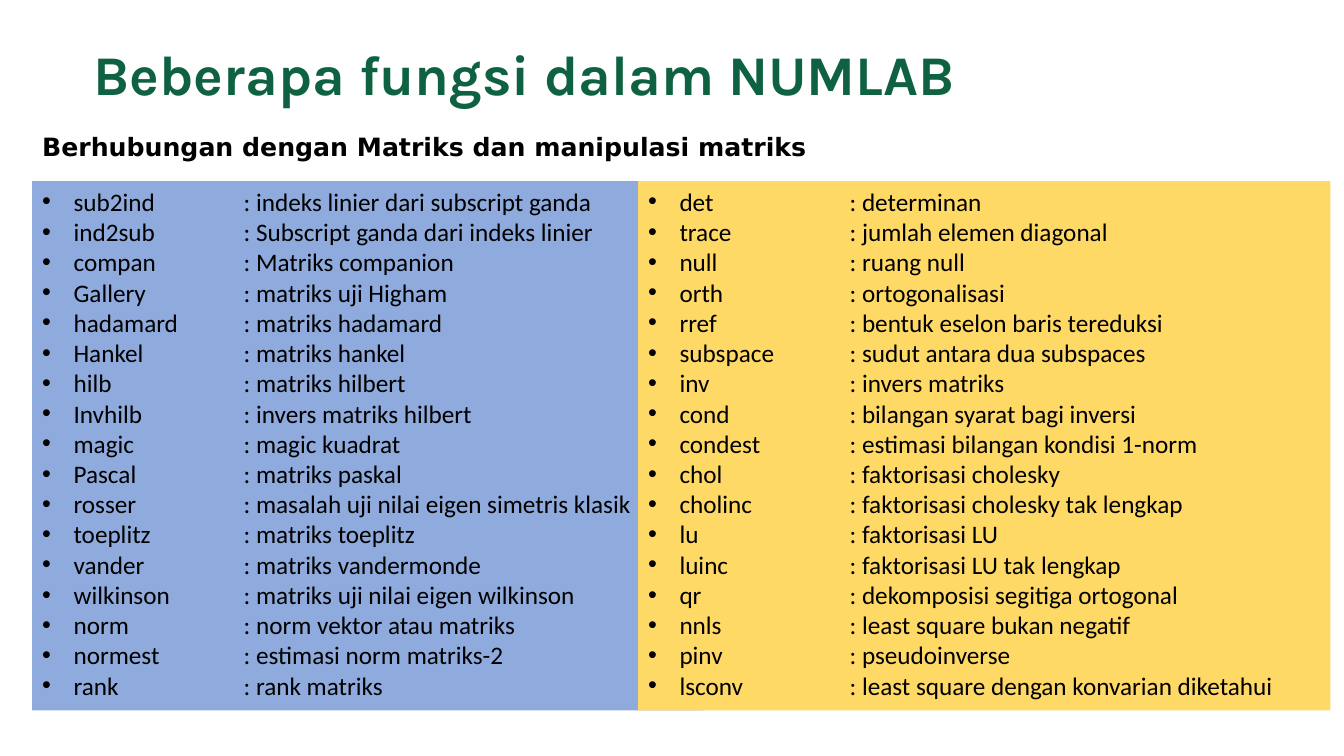
from lxml.etree import SubElement
from pptx import Presentation
from pptx.dml.color import RGBColor
from pptx.enum.shapes import MSO_SHAPE
from pptx.enum.text import MSO_ANCHOR, MSO_AUTO_SIZE, PP_ALIGN
from pptx.oxml.ns import qn
from pptx.util import Pt


def color(value):
    return RGBColor.from_string(value)


def write(para, text, **font):
    span = para.add_run()
    span.text = text
    span.font.color.rgb = color(font.pop("ink"))
    for name, value in font.items():
        setattr(span.font, name, value)


deck = Presentation()
deck.slide_width, deck.slide_height = Pt(960), Pt(540)
page = deck.slides.add_slide(deck.slide_layouts[6])

title = page.shapes.add_textbox(Pt(59.8), Pt(15.8), Pt(769), Pt(79.2)).text_frame
title.word_wrap = True
title.vertical_anchor = MSO_ANCHOR.MIDDLE
title.paragraphs[0].line_spacing = 0.9
write(title.paragraphs[0], "Beberapa fungsi dalam NUMLAB",
      name="Karla", size=Pt(40), bold=True, ink="0E6241")

subtitle = page.shapes.add_textbox(Pt(23), Pt(90.4), Pt(561.6), Pt(28.8)).text_frame
subtitle.word_wrap = False
write(subtitle.paragraphs[0], "Berhubungan dengan Matriks dan manipulasi matriks",
      name="DejaVu Sans", size=Pt(18), bold=True, ink="000000")

matrix_functions = [
    ("sub2ind", "indeks linier dari subscript ganda"),
    ("ind2sub", "Subscript ganda dari indeks linier"),
    ("compan", "Matriks companion"),
    ("Gallery", "matriks uji Higham"),
    ("hadamard", "matriks hadamard"),
    ("Hankel", "matriks hankel"),
    ("hilb", "matriks hilbert"),
    ("Invhilb", "invers matriks hilbert"),
    ("magic", "magic kuadrat"),
    ("Pascal", "matriks paskal"),
    ("rosser", "masalah uji nilai eigen simetris klasik"),
    ("toeplitz", "matriks toeplitz"),
    ("vander", "matriks vandermonde"),
    ("wilkinson", "matriks uji nilai eigen wilkinson"),
    ("norm", "norm vektor atau matriks"),
    ("normest", "estimasi norm matriks-2"),
    ("rank", "rank matriks"),
]
analysis_functions = [
    ("det", "determinan"),
    ("trace", "jumlah elemen diagonal"),
    ("null", "ruang null"),
    ("orth", "ortogonalisasi"),
    ("rref", "bentuk eselon baris tereduksi"),
    ("subspace", "sudut antara dua subspaces"),
    ("inv", "invers matriks"),
    ("cond", "bilangan syarat bagi inversi"),
    ("condest", "estimasi bilangan kondisi 1-norm"),
    ("chol", "faktorisasi cholesky"),
    ("cholinc", "faktorisasi cholesky tak lengkap"),
    ("lu", "faktorisasi LU"),
    ("luinc", "faktorisasi LU tak lengkap"),
    ("qr", "dekomposisi segitiga ortogonal"),
    ("nnls", "least square bukan negatif"),
    ("pinv", "pseudoinverse"),
    ("lsconv", "least square dengan konvarian diketahui"),
]
panels = [
    (23, 479.5, "8FAADC", matrix_functions),
    (455.8, 494.6, "FFD966", analysis_functions),
]

for left, width, fill, functions in panels:
    panel = page.shapes.add_shape(
        MSO_SHAPE.RECTANGLE, Pt(left), Pt(129.4), Pt(width), Pt(378))
    panel.shadow.inherit = False
    panel.fill.solid()
    panel.fill.fore_color.rgb = color(fill)
    panel.line.fill.background()
    box = panel.text_frame
    box.word_wrap = True
    box.vertical_anchor = MSO_ANCHOR.TOP
    box.auto_size = MSO_AUTO_SIZE.SHAPE_TO_FIT_TEXT
    for index, (function, meaning) in enumerate(functions):
        para = box.add_paragraph() if index else box.paragraphs[0]
        para.alignment = PP_ALIGN.LEFT
        layout = para._p.get_or_add_pPr()
        layout.set("marL", str(Pt(22.5)))
        layout.set("indent", str(Pt(-22.5)))
        SubElement(layout, qn("a:buFont"), typeface="Arial")
        SubElement(layout, qn("a:buChar"), char="•")
        tabs = SubElement(layout, qn("a:tabLst"))
        SubElement(tabs, qn("a:tab"), pos=str(Pt(144)), algn="l")
        write(para, f"{function}\t: {meaning}",
              name="Calibri", size=Pt(18), ink="000000")

deck.save("out.pptx")
